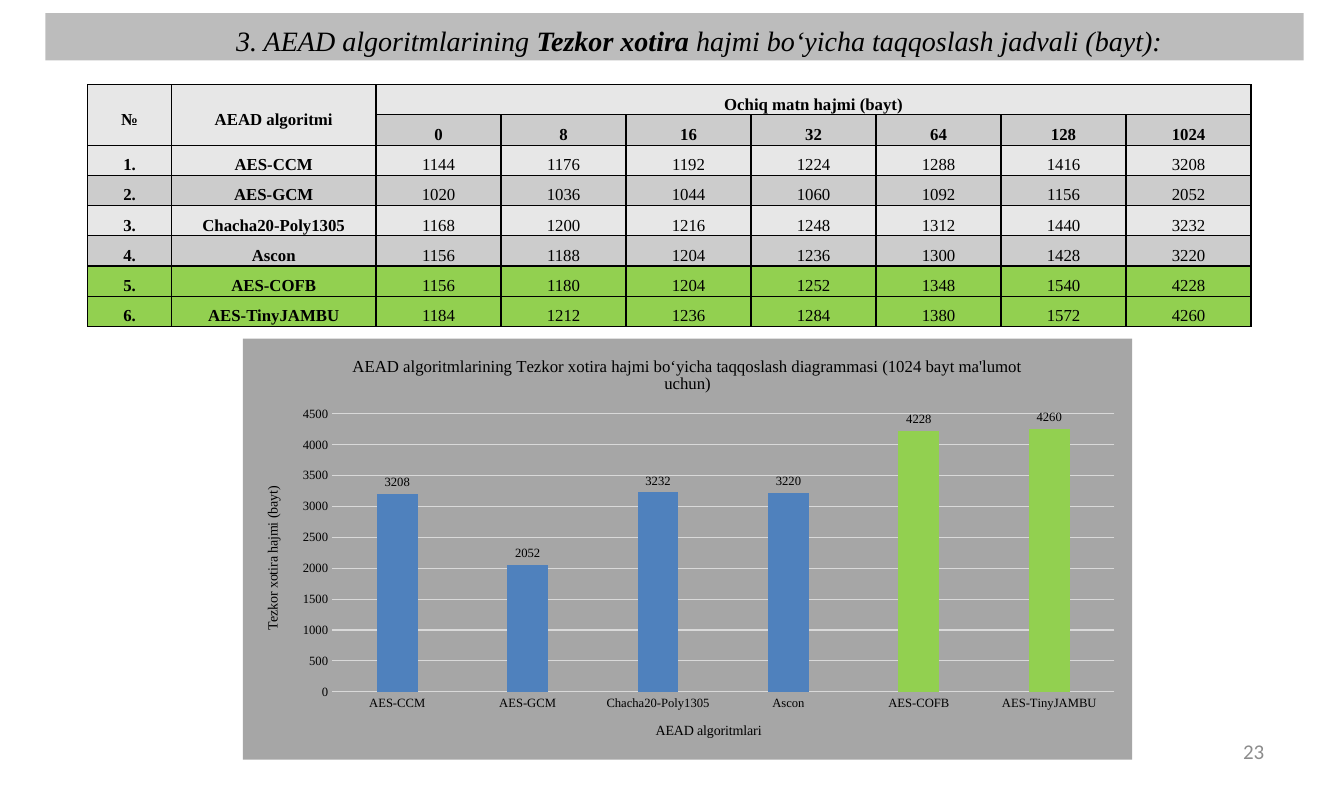
import pptx
import pptx.util
import pptx.chart.data
import pptx.dml.color
import pptx.enum.chart
import pptx.enum.text
import pptx.oxml
import pptx.oxml.ns
from lxml import etree

Inches, Pt = pptx.util.Inches, pptx.util.Pt
RGBColor = pptx.dml.color.RGBColor
PP_ALIGN = pptx.enum.text.PP_ALIGN
MIDDLE = pptx.enum.text.MSO_ANCHOR.MIDDLE
qn, nsdecls = pptx.oxml.ns.qn, pptx.oxml.ns.nsdecls

BLACK = RGBColor(0x00, 0x00, 0x00)
GRAY = RGBColor(0xA6, 0xA6, 0xA6)
LIGHT = RGBColor(0xE7, 0xE7, 0xE7)
DARK = RGBColor(0xCC, 0xCC, 0xCC)
GRID = RGBColor(0xD9, 0xD9, 0xD9)
NUMBER = RGBColor(0x8C, 0x8C, 0x8C)
BLUE = RGBColor(0x4F, 0x81, 0xBD)
GREEN = RGBColor(0x92, 0xD0, 0x50)
SERIF = "Times New Roman"

SIZES = ["0", "8", "16", "32", "64", "128", "1024"]
MEMORY = {
    "AES-CCM": [1144, 1176, 1192, 1224, 1288, 1416, 3208],
    "AES-GCM": [1020, 1036, 1044, 1060, 1092, 1156, 2052],
    "Chacha20-Poly1305": [1168, 1200, 1216, 1248, 1312, 1440, 3232],
    "Ascon": [1156, 1188, 1204, 1236, 1300, 1428, 3220],
    "AES-COFB": [1156, 1180, 1204, 1252, 1348, 1540, 4228],
    "AES-TinyJAMBU": [1184, 1212, 1236, 1284, 1380, 1572, 4260],
}
OURS = ("AES-COFB", "AES-TinyJAMBU")


def set_font(font, size, color=BLACK, name=SERIF, bold=False):
    font.name, font.size, font.bold = name, Pt(size), bold
    font.color.rgb = color


def set_title(owner, text, size):
    tf = owner.text_frame
    tf.text = text
    set_font(tf.paragraphs[0].font, size)


prs = pptx.Presentation()
prs.slide_width, prs.slide_height = Inches(13.33), Inches(7.82)
s = prs.slides.add_slide(prs.slide_layouts[5])

title = s.shapes.title
title.left, title.top = Inches(0.45), Inches(0.13)
title.width, title.height = Inches(12.48), Inches(0.47)
title.fill.solid()
title.fill.fore_color.rgb = GRAY
color = title.fill._xPr.find(qn("a:solidFill"))[0]
etree.SubElement(color, qn("a:alpha"), val="75000")
tf = title.text_frame
tf.word_wrap = True
tf.auto_size = pptx.enum.text.MSO_AUTO_SIZE.NONE
tf.vertical_anchor = MIDDLE
p = tf.paragraphs[0]
p.alignment, p.line_spacing = PP_ALIGN.CENTER, 1.2
pPr = p._p.get_or_add_pPr()
pPr.set("marL", "0")
pPr.set("indent", str(Inches(0.49)))
set_font(p.font, 20, bold=None)
p.font.italic = True
for text, bold in [("3. AEAD algoritmlarining ", False), ("Tezkor xotira ", True),
                   ("hajmi bo‘yicha taqqoslash jadvali (bayt):", False)]:
    r = p.add_run()
    r.text, r.font.bold = text, bold

rows = [["№", "AEAD algoritmi", "Ochiq matn hajmi (bayt)"] + [""] * 6, ["", ""] + SIZES]
rows += [[f"{i}.", name, *values] for i, (name, values) in enumerate(MEMORY.items(), 1)]
col_widths = [0.83, 2.03] + [1.24] * len(SIZES)
row_height = 0.3
table = s.shapes.add_table(len(rows), len(col_widths), Inches(0.87), Inches(0.84),
                           Inches(sum(col_widths)), Inches(row_height * len(rows))).table
for column, width in zip(table.columns, col_widths):
    column.width = Inches(width)
for i, row in enumerate(rows):
    table.rows[i].height = Inches(row_height)
    fill = GREEN if row[1] in OURS else DARK if i % 2 else LIGHT
    for j, value in enumerate(row):
        cell = table.cell(i, j)
        cell.fill.solid()
        cell.fill.fore_color.rgb = fill
        cell.margin_left = cell.margin_right = Inches(0.07)
        cell.margin_top = cell.margin_bottom = 0
        cell.vertical_anchor = MIDDLE
        p = cell.text_frame.paragraphs[0]
        p.text = str(value)
        p.alignment, p.line_spacing = PP_ALIGN.CENTER, 1.5
        p.space_after = Pt(10 if j or i < 2 else 0)
        set_font(p.font, 12, bold=i < 2 or j < 2)
        for k, side in enumerate("LRTB"):
            cell._tc.tcPr.insert(k, pptx.oxml.parse_xml(
                f'<a:ln{side} {nsdecls("a")} w="12700"><a:solidFill>'
                f'<a:srgbClr val="{BLACK}"/></a:solidFill></a:ln{side}>'))
table.cell(0, 0).merge(table.cell(1, 0))
table.cell(0, 1).merge(table.cell(1, 1))
table.cell(0, 2).merge(table.cell(0, len(col_widths) - 1))

data = pptx.chart.data.CategoryChartData()
data.categories = list(MEMORY)
data.add_series("Series 1", [values[-1] for values in MEMORY.values()])
chart = s.shapes.add_chart(pptx.enum.chart.XL_CHART_TYPE.COLUMN_CLUSTERED, Inches(2.41),
                           Inches(3.36), Inches(8.82), Inches(4.18), data).chart
set_font(chart.font, 10, name="Calibri")
chart.has_legend = False
set_title(chart.chart_title, "AEAD algoritmlarining Tezkor xotira hajmi bo‘yicha taqqoslash "
          "diagrammasi (1024 bayt ma'lumot uchun)", 12)
chart.chart_title.include_in_layout = False
chart._chartSpace.find(qn("c:chart")).addnext(pptx.oxml.parse_xml(
    f'<c:spPr {nsdecls("c", "a")}><a:solidFill><a:srgbClr val="{GRAY}"/></a:solidFill>'
    '<a:ln><a:noFill/></a:ln></c:spPr>'))

for axis, text in [(chart.category_axis, "AEAD algoritmlari"),
                   (chart.value_axis, "Tezkor xotira hajmi (bayt)")]:
    set_title(axis.axis_title, text, 10)
    set_font(axis.tick_labels.font, 9)
    axis.major_tick_mark = axis.minor_tick_mark = pptx.enum.chart.XL_TICK_MARK.NONE
chart.value_axis.format.line.fill.background()
chart.value_axis.minimum_scale, chart.value_axis.maximum_scale = 0, 4500
chart.value_axis.major_unit = 500
for line in (chart.category_axis.format.line, chart.value_axis.major_gridlines.format.line):
    line.color.rgb, line.width = GRID, Pt(0.75)

plot = chart.plots[0]
plot.gap_width, plot.overlap = 219, -27
plot.vary_by_categories = False
series = plot.series[0]
series.format.fill.solid()
series.format.fill.fore_color.rgb = BLUE
for i, name in enumerate(MEMORY):
    if name in OURS:
        point = series.points[i].format.fill
        point.solid()
        point.fore_color.rgb = GREEN
labels = series.data_labels
labels.show_value = True
labels.position = pptx.enum.chart.XL_LABEL_POSITION.OUTSIDE_END
set_font(labels.font, 9)

tf = s.shapes.add_textbox(Inches(9.55), Inches(7.24), Inches(3.11), Inches(0.42)).text_frame
tf.word_wrap = True
tf.vertical_anchor = MIDDLE
tf.margin_left = tf.margin_right = Inches(0.12)
tf.margin_top = tf.margin_bottom = Inches(0.06)
p = tf.paragraphs[0]
p.text, p.alignment = "23", PP_ALIGN.RIGHT
set_font(p.font, 15, NUMBER, "Calibri")

prs.save("out.pptx")
